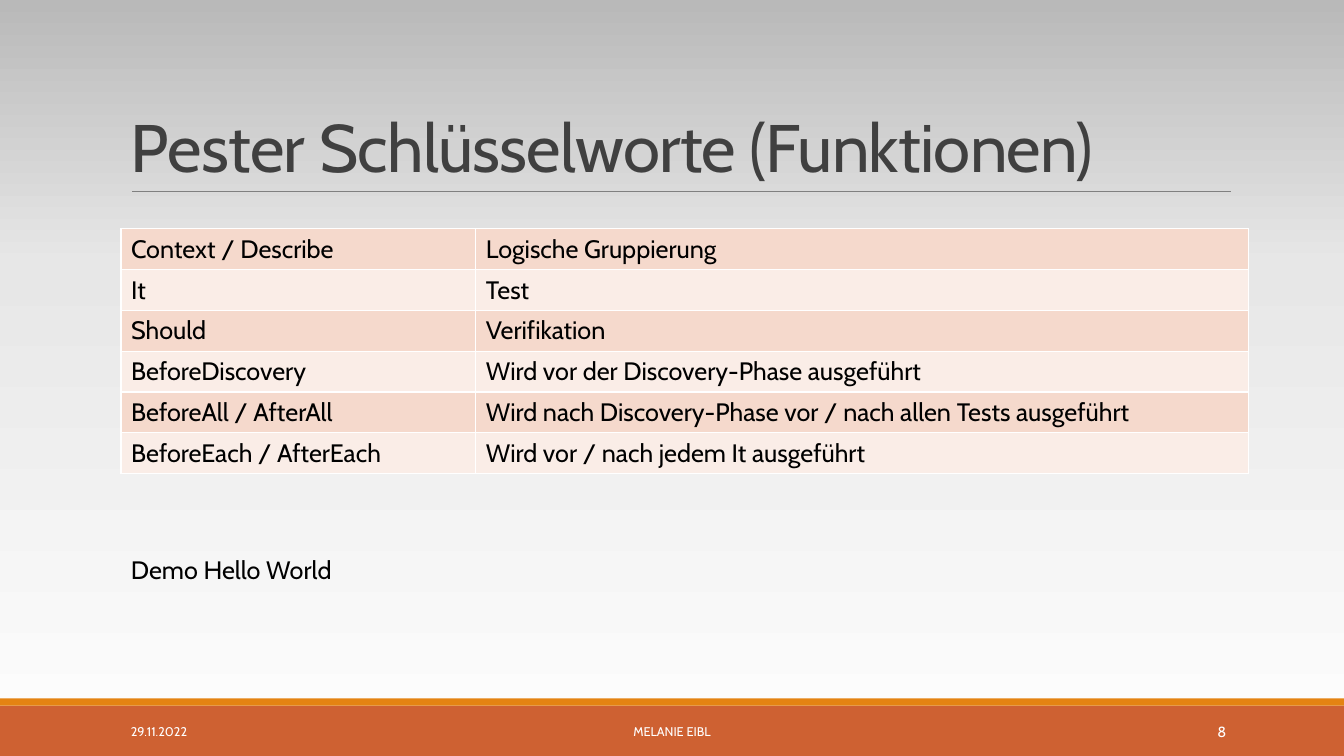
from lxml import etree
from pptx import Presentation
from pptx.dml.color import RGBColor
from pptx.enum.shapes import MSO_CONNECTOR, MSO_SHAPE
from pptx.enum.text import MSO_ANCHOR, PP_ALIGN
from pptx.oxml.ns import qn
from pptx.util import Inches, Pt

RECTANGLE, STRAIGHT = MSO_SHAPE.RECTANGLE, MSO_CONNECTOR.STRAIGHT
TOP, MIDDLE, BOTTOM = MSO_ANCHOR.TOP, MSO_ANCHOR.MIDDLE, MSO_ANCHOR.BOTTOM
LEFT, CENTER, RIGHT = PP_ALIGN.LEFT, PP_ALIGN.CENTER, PP_ALIGN.RIGHT

FONT = "Cabin"
BLACK = RGBColor(0x00, 0x00, 0x00)
WHITE = RGBColor(0xFF, 0xFF, 0xFF)
TITLE_GRAY = RGBColor(0x40, 0x40, 0x40)
RULE_GRAY = RGBColor(0x80, 0x80, 0x80)
RUST = RGBColor(0xCE, 0x61, 0x32)
ORANGE = RGBColor(0xE4, 0x83, 0x12)
BAND_COLORS = (RGBColor(0xF5, 0xD9, 0xCC), RGBColor(0xFA, 0xED, 0xE7))
BACKGROUND_STOPS = (
    (0, RGBColor(0xFE, 0xFE, 0xFE)),
    (65, RGBColor(0xE7, 0xE7, 0xE7)),
    (100, RGBColor(0xB9, 0xB9, 0xB9)),
)

SLIDE_WIDTH, SLIDE_HEIGHT = 13.33, 7.5
CONTENT_LEFT, CONTENT_WIDTH = 1.2, 11.18
COLUMN_WIDTHS = (3.52, 7.66)
KEYWORDS = (
    ("Context / Describe", "Logische Gruppierung"),
    ("It", "Test"),
    ("Should", "Verifikation"),
    ("BeforeDiscovery", "Wird vor der Discovery-Phase ausgeführt"),
    ("BeforeAll / AfterAll",
     "Wird nach Discovery-Phase vor / nach allen Tests ausgeführt"),
    ("BeforeEach / AfterEach", "Wird vor / nach jedem It ausgeführt"),
)


def write_text(text_frame, text, size, color, alignment=LEFT):
    """Write one formatted run and return its paragraph."""
    paragraph = text_frame.paragraphs[0]
    paragraph.alignment = alignment
    run = paragraph.add_run()
    run.text = text
    run.font.color.rgb = color
    for name, value in {"name": FONT, "size": Pt(size)}.items():
        setattr(run.font, name, value)
    return paragraph


def add_text(slide, box, text, size, color, alignment=LEFT, anchor=TOP):
    """Add a wrapping text box and return its paragraph."""
    shape = slide.shapes.add_textbox(*map(Inches, box))
    frame_format = {"word_wrap": True, "vertical_anchor": anchor}
    for name, value in frame_format.items():
        setattr(shape.text_frame, name, value)
    return write_text(shape.text_frame, text, size, color, alignment)


def add_background(slide):
    """Fill the slide with a vertical gradient."""
    fill = slide.background.fill
    fill.gradient()
    fill.gradient_angle = 90
    stop_list = next(slide.element.iter(qn("a:gsLst")))
    for stop in list(stop_list):
        stop_list.remove(stop)
    for position, color in BACKGROUND_STOPS:
        stop = etree.SubElement(stop_list, qn("a:gs"), pos=str(position * 1000))
        etree.SubElement(stop, qn("a:srgbClr"), val=str(color))


def add_bar(slide, box, color):
    """Add a plain coloured bar."""
    shape = slide.shapes.add_shape(RECTANGLE, *map(Inches, box))
    shape.shadow.inherit = False
    shape.fill.solid()
    shape.fill.fore_color.rgb = color
    shape.line.fill.background()


def add_title(slide, box, text):
    """Add the title with a thin rule along the bottom of its box."""
    left, top, width, height = box
    rule_left, rule_y = left + 0.11, top + height
    rule = slide.shapes.add_connector(
        STRAIGHT, Inches(rule_left), Inches(rule_y),
        Inches(rule_left + 10.9), Inches(rule_y))
    rule.line.color.rgb = RULE_GRAY
    rule.line.width = Pt(0.5)
    etree.SubElement(rule.element.spPr, qn("a:effectLst"))
    paragraph = add_text(slide, box, text, 48, TITLE_GRAY, anchor=BOTTOM)
    paragraph.line_spacing = 0.85
    paragraph.runs[0].font._element.set("spc", "-50")


def add_cell_borders(cell):
    """Draw a white line on all sides of a cell."""
    properties = cell._tc.get_or_add_tcPr()
    for index, side in enumerate(("a:lnL", "a:lnR", "a:lnT", "a:lnB")):
        line = etree.Element(qn(side), w=str(Pt(1)))
        fill = etree.SubElement(line, qn("a:solidFill"))
        etree.SubElement(fill, qn("a:srgbClr"), val=str(WHITE))
        properties.insert(index, line)


def add_keyword_table(slide, box):
    """Add the banded table of keywords and meanings."""
    shape = slide.shapes.add_table(
        len(KEYWORDS), len(COLUMN_WIDTHS), *map(Inches, box))
    table = shape.table
    for name in ("first_row", "horz_banding"):
        setattr(table, name, False)
    for column, width in zip(table.columns, COLUMN_WIDTHS):
        column.width = Inches(width)
    for row_index, texts in enumerate(KEYWORDS):
        for column_index, text in enumerate(texts):
            cell = table.cell(row_index, column_index)
            cell.fill.solid()
            cell.fill.fore_color.rgb = BAND_COLORS[row_index % 2]
            add_cell_borders(cell)
            write_text(cell.text_frame, text, 18, BLACK)


def add_footer(slide, box):
    """Add the footer bars with date, author and slide number."""
    left, top, width, height = box
    stripe = 0.07
    add_bar(slide, (left, top + stripe, width, height - stripe), RUST)
    add_bar(slide, (left, top, width, stripe), ORANGE)
    entries = (
        (CONTENT_LEFT, 2.7, "29.11.2022", 9, LEFT),
        (4.03, 5.27, "MELANIE EIBL", 9, CENTER),
        (10.83, 1.43, "8", 10.5, RIGHT),
    )
    for offset, entry_width, text, size, alignment in entries:
        add_text(slide, (left + offset, top + 0.13, entry_width, 0.4),
                 text, size, WHITE, alignment, MIDDLE)


def main():
    """Build and save the slide."""
    presentation = Presentation()
    presentation.slide_width = Inches(SLIDE_WIDTH)
    presentation.slide_height = Inches(SLIDE_HEIGHT)
    slide = presentation.slides.add_slide(presentation.slide_layouts[6])
    add_background(slide)
    add_footer(slide, (0, 6.93, SLIDE_WIDTH, 0.57))
    add_title(slide, (CONTENT_LEFT, 0.31, 11, 1.59),
              "Pester Schlüsselworte (Funktionen)")
    add_keyword_table(slide, (CONTENT_LEFT, 2.27, CONTENT_WIDTH, 2.43))
    add_text(slide, (CONTENT_LEFT, 5.45, CONTENT_WIDTH, 0.4),
             "Demo Hello World", 18, BLACK)
    presentation.save("out.pptx")


if __name__ == "__main__":
    main()
